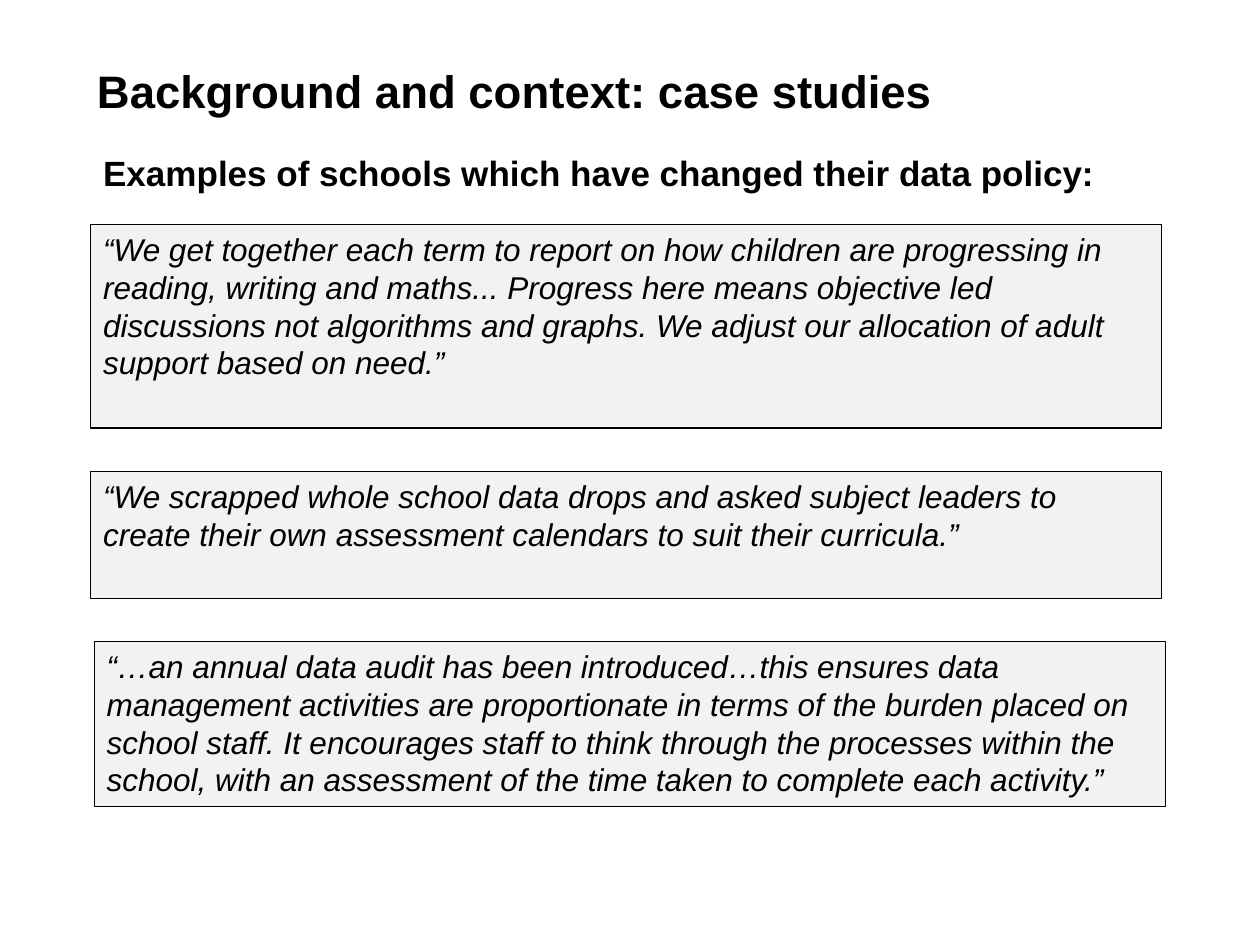
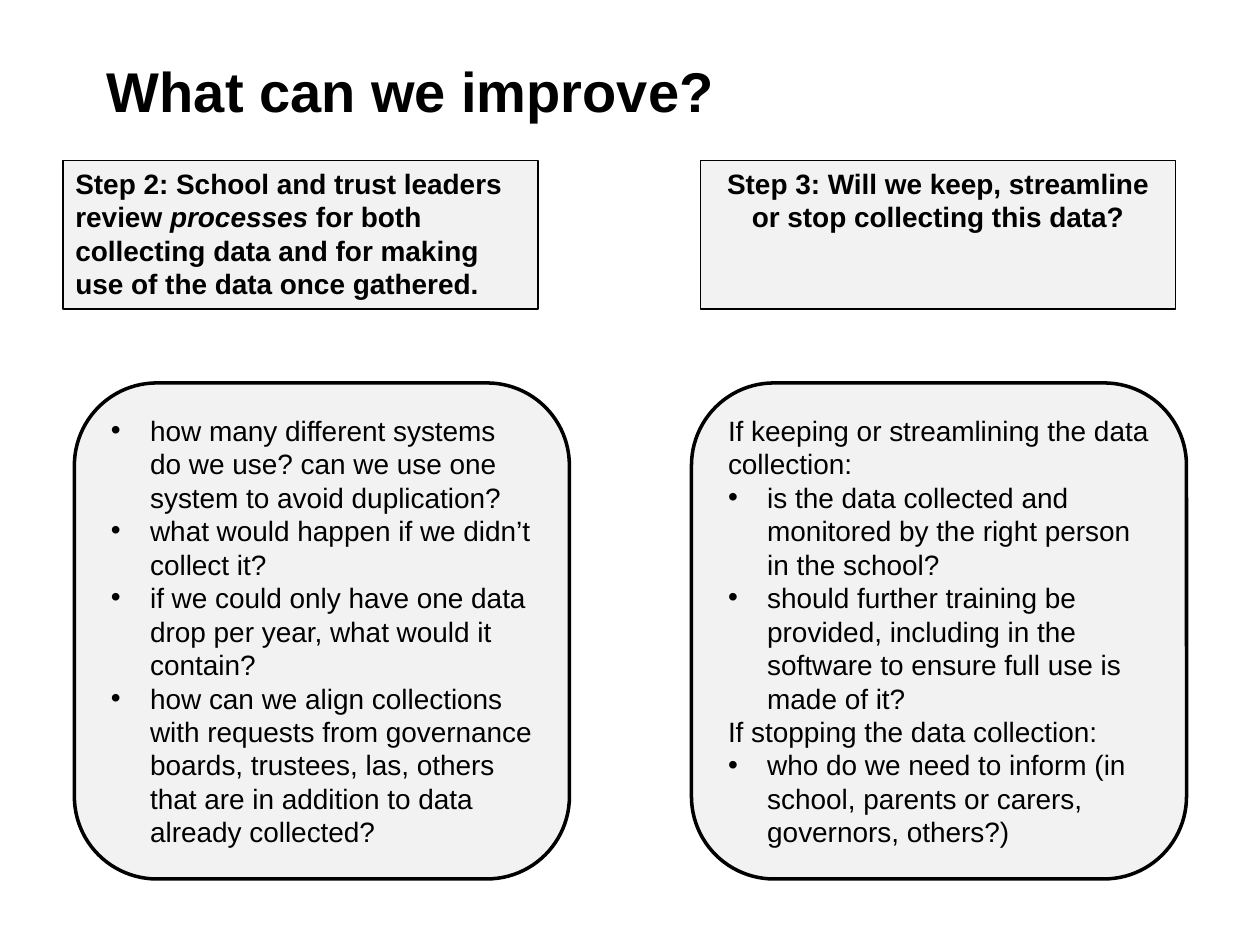
from dataclasses import dataclass
from lxml.etree import SubElement
from pptx import Presentation
from pptx.dml.color import RGBColor
from pptx.enum.shapes import MSO_SHAPE as Shape
from pptx.enum.text import MSO_ANCHOR as Anchor, PP_ALIGN as Align
from pptx.oxml.ns import qn
from pptx.util import Cm, Pt


@dataclass(frozen=True)
class Theme:
    font: str = "Arial"
    ink: RGBColor = RGBColor(0, 0, 0)
    panel: RGBColor = RGBColor(0xF2, 0xF2, 0xF2)
    head: int = 20
    quote: int = 18
    body: int = 16
    thin: float = 0.75
    thick: float = 2
    lead: float = 1.195  # line height per point of type
    indent: float = 0.79


THEME = Theme()

# Content: "*" toggles italics, a leading bullet makes a list item
QUOTES = [
    (1.83, 4.52, 4.11,
     "“We get together each term to report on how children are progressing "
     "in reading, writing and maths... Progress here means objective led "
     "discussions not algorithms and graphs. We adjust our allocation of "
     "adult support based on need.”"),
    (1.83, 9.5, 2.57,
     "“We scrapped whole school data drops and asked subject leaders to "
     "create their own assessment calendars to suit their curricula.”"),
    (1.9, 12.93, 3.33,
     "“…an annual data audit has been introduced…this ensures data "
     "management activities are proportionate in terms of the burden placed "
     "on school staff. It encourages staff to think through the processes "
     "within the school, with an assessment of the time taken to complete "
     "each activity.”"),
]
STEPS = [
    (1.27, 1.5, Align.LEFT,
     "Step 2: School and trust leaders review *processes *for both "
     "collecting data and for making use of the data once gathered.",
     ["•how many different systems do we use? can we use one system to "
      "avoid duplication?",
      "•what would happen if we didn’t collect it?",
      "•if we could only have one data drop per year, what would it contain?",
      "•how can we align collections with requests from governance boards, "
      "trustees, las, others that are in addition to data already collected?"]),
    (14.12, 13.94, Align.CENTER,
     "Step 3: Will we keep, streamline or stop collecting this data?",
     ["If keeping or streamlining the data collection:",
      "•is the data collected and monitored by the right person in the "
      "school?",
      "•should further training be provided, including in the software to "
      "ensure full use is made of it?",
      "If stopping the data collection:",
      "•who do we need to inform (in school, parents or carers, governors, "
      "others?)"]),
]


def bullet(para):
    """Give a paragraph a hanging bullet."""
    props = para._p.get_or_add_pPr()
    props.set("marL", str(Cm(THEME.indent)))
    props.set("indent", str(-Cm(THEME.indent)))
    SubElement(props, qn("a:buFont")).set("typeface", THEME.font)
    SubElement(props, qn("a:buChar")).set("char", "•")


def write(shape, *lines, size, bold=False, italic=False, align=Align.LEFT,
          anchor=Anchor.TOP, gap=None):
    """Fill a shape with lines of formatted text."""
    frame = shape.text_frame
    frame.word_wrap = True
    frame.vertical_anchor = anchor
    for i, line in enumerate(lines):
        para = frame.add_paragraph() if i else frame.paragraphs[0]
        para.alignment = align
        para.line_spacing = gap or Pt(size * THEME.lead)
        if line.startswith("•"):
            bullet(para)
        for j, part in enumerate(line.lstrip("•").split("*")):
            run = para.add_run()
            run.text = part
            font = run.font
            font.name, font.size = THEME.font, Pt(size)
            font.bold, font.italic = bold, italic or j % 2 == 1
            font.color.rgb = THEME.ink


def panel(slide, kind, box, line):
    """Add a light grey outlined shape."""
    shape = slide.shapes.add_shape(kind, *map(Cm, box))
    shape.shadow.inherit = False
    shape.fill.solid()
    shape.fill.fore_color.rgb = THEME.panel
    shape.line.color.rgb = THEME.ink
    shape.line.width = Pt(line)
    return shape


def page(deck, text, box, size):
    """Add a slide with its title in place."""
    slide = deck.slides.add_slide(deck.slide_layouts.get_by_name("Title Only"))
    title = slide.shapes.title
    title.left, title.top, title.width, title.height = map(Cm, box)
    write(title, text, size=size, bold=True, anchor=Anchor.MIDDLE, gap=1.0)
    return slide


def cases(deck):
    slide = page(deck, "Background and context: case studies",
                 (1.7, 0.43, 21.79, 2.79), 26)
    head = slide.shapes.add_textbox(Cm(1.83), Cm(3.1), Cm(21.79), Cm(1))
    write(head, "Examples of schools which have changed their data policy:",
          size=THEME.head, bold=True, gap=0.8)
    for left, top, high, text in QUOTES:
        box = panel(slide, Shape.RECTANGLE, (left, top, 21.59, high),
                    THEME.thin)
        write(box, text, size=THEME.quote, italic=True)


def steps(deck):
    slide = page(deck, "What can we improve?", (1.9, 0.91, 21.59, 1.8), 32)
    for left, inner, align, head, lines in STEPS:
        box = panel(slide, Shape.RECTANGLE, (left, 3.23, 9.58, 3), THEME.thin)
        write(box, head, size=THEME.body, bold=True, align=align)
        card = panel(slide, Shape.ROUNDED_RECTANGLE, (inner, 7.72, 9.98, 10),
                     THEME.thick)
        write(card, *lines, size=THEME.body, anchor=Anchor.MIDDLE)


def main():
    deck = Presentation()
    deck.slide_width, deck.slide_height = Cm(25.4), Cm(19.05)
    cases(deck)
    steps(deck)
    deck.save("out.pptx")


main()
